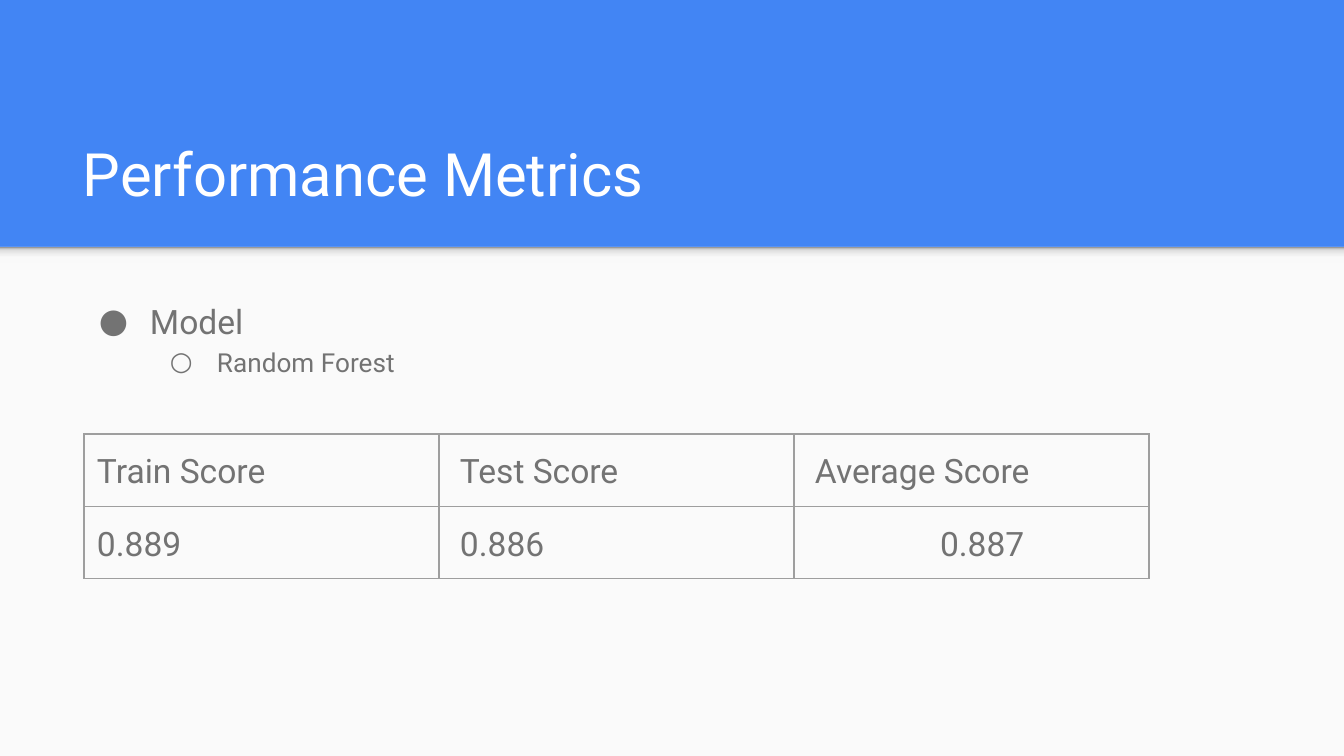
"""Build the Performance Metrics slide with its model outline and score table."""
from lxml.etree import SubElement
from pptx import Presentation
from pptx.dml.color import RGBColor
from pptx.enum.shapes import MSO_SHAPE
from pptx.enum.text import MSO_ANCHOR
from pptx.oxml.ns import qn
from pptx.util import Emu, Pt

SCALE = 914400 / 134.4
FONT = "Roboto"
INSET = 13
COLORS = {
    "blue": "4285F4",
    "paper": "FAFAFA",
    "white": "FFFFFF",
    "text": "737373",
    "border": "9E9E9E",
}
SHADOW_STOPS = [(0, "F9F9F9"), (36, "F9F9F9"), (80, "DEDEDE"), (100, "999999")]
OUTLINE = [("Model", 18, "●", 67, -51), ("Random Forest", 14, "○", 134, -47)]
SCORES = [
    [("Train Score", INSET), ("Test Score", 21), ("Average Score", 21)],
    [("0.889", INSET), ("0.886", 21), ("0.887", 146)],
]


def px(n):
    return Emu(round(n * SCALE))


def rgb(name):
    return RGBColor.from_string(COLORS[name])


def add_run(p, text, size, color):
    r = p.add_run()
    r.text = text
    r.font.name = FONT
    r.font.size = Pt(size)
    r.font.color.rgb = rgb(color)


def add_band(s, x, y, w, h):
    sp = s.shapes.add_shape(MSO_SHAPE.RECTANGLE, px(x), px(y), px(w), px(h))
    sp.shadow.inherit = False
    sp.line.fill.background()
    return sp


def add_shadow(s, x, y, w, h):
    sp = add_band(s, x, y, w, h)
    sp.fill.gradient()
    sp.fill.gradient_angle = 90
    stops = sp._element.spPr.find(".//" + qn("a:gsLst"))
    stops.clear()
    for pos, color in SHADOW_STOPS:
        gs = SubElement(stops, qn("a:gs"), pos=str(pos * 1000))
        SubElement(gs, qn("a:srgbClr"), val=color)


def add_text_frame(s, x, y, w, h, anchor):
    tf = s.shapes.add_textbox(px(x), px(y), px(w), px(h)).text_frame
    tf.word_wrap = True
    tf.vertical_anchor = anchor
    tf.margin_left = tf.margin_right = tf.margin_top = tf.margin_bottom = px(INSET)
    return tf


def set_bullet(p, char, left, indent):
    pPr = p._p.get_or_add_pPr()
    pPr.set("marL", str(px(left)))
    pPr.set("indent", str(px(indent)))
    color = SubElement(pPr, qn("a:buClr"))
    SubElement(color, qn("a:srgbClr"), val=COLORS["text"])
    SubElement(pPr, qn("a:buFont"), typeface=FONT)
    SubElement(pPr, qn("a:buChar"), char=char)


def add_outline(s, x, y, w, h):
    tf = add_text_frame(s, x, y, w, h, MSO_ANCHOR.TOP)
    for i, (text, size, char, left, indent) in enumerate(OUTLINE):
        p = tf.add_paragraph() if i else tf.paragraphs[0]
        p.level = i
        p.line_spacing = 1.15
        set_bullet(p, char, left, indent)
        add_run(p, text, size, "text")


def set_borders(cell):
    tcPr = cell._tc.get_or_add_tcPr()
    for i, side in enumerate(("lnL", "lnR", "lnT", "lnB")):
        ln = SubElement(tcPr, qn("a:" + side), w=str(Pt(0.75)))
        fill = SubElement(ln, qn("a:solidFill"))
        SubElement(fill, qn("a:srgbClr"), val=COLORS["border"])
        tcPr.insert(i, ln)


def fill_cell(cell, text, left):
    cell.fill.background()
    cell.margin_left = px(left)
    cell.margin_right = cell.margin_top = cell.margin_bottom = px(INSET)
    p = cell.text_frame.paragraphs[0]
    p.line_spacing = 1.15
    add_run(p, text, 18, "text")
    set_borders(cell)


def add_score_table(s, x, y, col_w, row_h):
    rows, cols = len(SCORES), len(SCORES[0])
    table = s.shapes.add_table(
        rows, cols, px(x), px(y), px(cols * col_w), px(rows * row_h)
    ).table
    table.first_row = table.horz_banding = False
    for col in table.columns:
        col.width = px(col_w)
    for i, row in enumerate(SCORES):
        table.rows[i].height = px(row_h)
        for j, (text, left) in enumerate(row):
            fill_cell(table.cell(i, j), text, left)


def main():
    prs = Presentation()
    prs.slide_width, prs.slide_height = px(1344), px(756)
    s = prs.slides.add_slide(prs.slide_layouts[6])
    s.background.fill.solid()
    s.background.fill.fore_color.rgb = rgb("blue")

    paper = add_band(s, 0, 247, 1344, 509)
    paper.fill.solid()
    paper.fill.fore_color.rgb = rgb("paper")
    add_shadow(s, 0, 247, 1344, 16)

    title = add_text_frame(s, 70, 109, 1208, 113, MSO_ANCHOR.BOTTOM)
    add_run(title.paragraphs[0], "Performance Metrics", 32, "white")
    add_outline(s, 70, 282, 1208, 398)
    add_score_table(s, 84, 434, 355, 72)
    prs.save("out.pptx")


if __name__ == "__main__":
    main()
